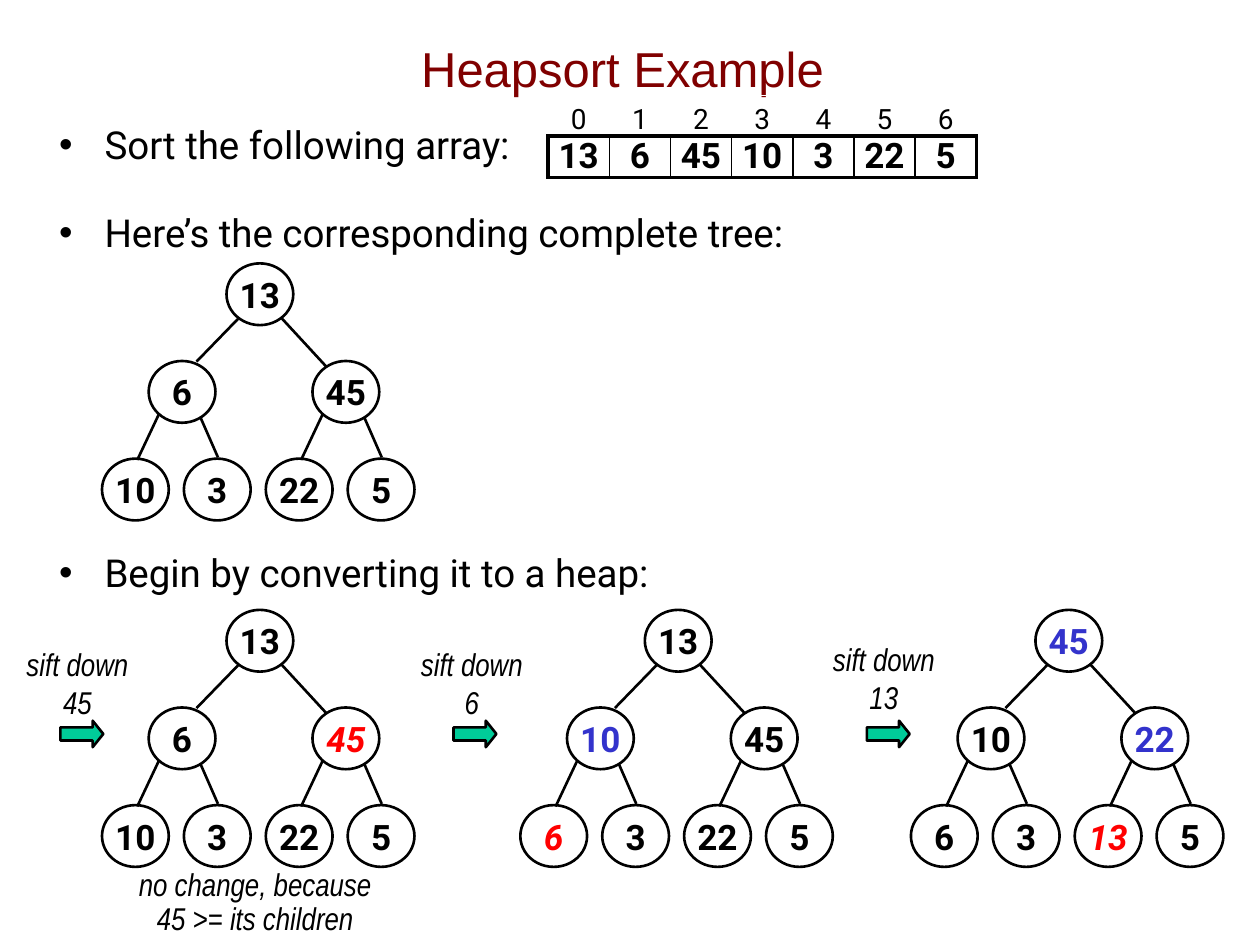
from lxml.etree import SubElement
from pptx import Presentation
from pptx.dml.color import RGBColor
from pptx.enum.shapes import MSO_CONNECTOR, MSO_SHAPE
from pptx.enum.text import MSO_ANCHOR, MSO_AUTO_SIZE, PP_ALIGN
from pptx.oxml.ns import qn
from pptx.util import Inches, Pt

BLACK = RGBColor(0x00, 0x00, 0x00)
MAROON = RGBColor(0x80, 0x00, 0x00)
RED = RGBColor(0xFF, 0x00, 0x00)
BLUE = RGBColor(0x33, 0x33, 0xCC)
GREEN = RGBColor(0x00, 0xCC, 0x99)

TITLE = {"name": "Arial", "size": Pt(28)}
BULLET = {"name": "Roboto", "size": Pt(22)}
INDEX = {"name": "Roboto", "size": Pt(16)}
KEY = {"name": "Roboto", "size": Pt(20), "bold": True}
SIFTED = KEY | {"italic": True}
NOTE = {"name": "Arial Narrow", "size": Pt(18), "italic": True}
NO_MARGINS = {"margin_left": 0, "margin_top": 0, "margin_right": 0, "margin_bottom": 0}

# Tree grid: one column per leaf, one row per level
COLUMN, ROW = 0.65, 0.775
NODE_WIDTH, NODE_HEIGHT = 0.53, 0.49
NODES = [(1.52, 0), (0.57, 1), (2.57, 1), (0, 2), (1, 2), (2, 2), (3, 2)]
ROOT_EDGES = [(1.08, 0.44, 0.75, 0.78), (1.42, 0.43, 1.78, 0.82)]
CHILD_EDGES = [(0.45, 1.2, 0.28, 1.56), (0.78, 1.22, 0.92, 1.54)]
EDGES = ROOT_EDGES + [(x1 + shift, y1, x2 + shift, y2)
                      for shift in (0, 2 * COLUMN) for x1, y1, x2, y2 in CHILD_EDGES]


def format_text(paragraph, values, color=BLACK, alignment=PP_ALIGN.CENTER):
    paragraph.alignment = alignment
    for name, value in values.items():
        setattr(paragraph.font, name, value)
    paragraph.font.color.rgb = color


def outline(shape):
    shape.line.color.rgb = BLACK
    shape.line.width = Pt(1.5)


presentation = Presentation()
presentation.slide_width, presentation.slide_height = Inches(10), Inches(7.5)
slide = presentation.slides.add_slide(presentation.slide_layouts[1])
shapes = slide.shapes

# Title and bullets
title, body = slide.placeholders
for placeholder, box in ((title, (0.64, 0.07, 8.6, 0.93)), (body, (0.37, 0.91, 9.63, 6.14))):
    placeholder.left, placeholder.top, placeholder.width, placeholder.height = map(Inches, box)
    placeholder.text_frame.auto_size = MSO_AUTO_SIZE.NONE
title.text_frame.text = "Heapsort Example"
title.text_frame.vertical_anchor = MSO_ANCHOR.MIDDLE
format_text(title.text_frame.paragraphs[0], TITLE, MAROON)

bullets = [
    ("Sort the following array:", 0),
    ("Here’s the corresponding complete tree:", 24),
    ("Begin by converting it to a heap:", 168),
]
body.text_frame.text = "\n".join(text for text, _ in bullets)
for paragraph, (_, space) in zip(body.text_frame.paragraphs, bullets):
    properties = paragraph._p.get_or_add_pPr()
    properties.set("marL", str(Inches(0.36)))
    properties.set("indent", str(-Inches(0.36)))
    SubElement(properties, qn("a:buChar")).set("char", "•")
    paragraph.space_before = Pt(space)
    format_text(paragraph, BULLET, alignment=PP_ALIGN.LEFT)

# Array with its indexes
array = [13, 6, 45, 10, 3, 22, 5]
table = shapes.add_table(2, len(array), Inches(4.35), Inches(0.76),
                         Inches(3.4), Inches(0.65)).table
table.first_row = table.horz_banding = False
table.rows[0].height, table.rows[1].height = Inches(0.32), Inches(0.33)
last = len(array) - 1
for column, value in enumerate(array):
    table.columns[column].width = Inches(3.4 / len(array))
    index_cell, value_cell = table.cell(0, column), table.cell(1, column)
    index_cell.vertical_anchor = MSO_ANCHOR.BOTTOM
    index_cell.margin_bottom = 0
    for name, margin in NO_MARGINS.items():
        setattr(value_cell, name, margin)
    value_borders = {"lnL": 1 if column else 2.25, "lnR": 1 if column < last else 2.25,
                     "lnT": 2.25, "lnB": 2.25}
    for cell, text, values, borders in ((index_cell, column, INDEX, {"lnB": 2.25}),
                                        (value_cell, value, KEY, value_borders)):
        cell.text = str(text)
        format_text(cell.text_frame.paragraphs[0], values)
        for side, width in borders.items():
            border = SubElement(cell._tc.get_or_add_tcPr(), qn(f"a:{side}"), w=str(Pt(width)))
            fill = SubElement(border, qn("a:solidFill"))
            SubElement(fill, qn("a:srgbClr"), val=str(BLACK))
        cell.fill.background()

# Trees: left, top, keys by level, and the formats of the highlighted nodes
trees = [
    (0.81, 2.09, array, {}),
    (0.81, 4.84, array, {2: (SIFTED, RED)}),
    (4.13, 4.84, [13, 10, 45, 6, 3, 22, 5], {1: (KEY, BLUE), 3: (SIFTED, RED)}),
    (7.23, 4.84, [45, 10, 22, 6, 3, 13, 5],
     {0: (KEY, BLUE), 2: (KEY, BLUE), 5: (SIFTED, RED)}),
]
for left, top, keys, highlights in trees:
    for position, (key, (column, row)) in enumerate(zip(keys, NODES)):
        node = shapes.add_shape(MSO_SHAPE.OVAL, Inches(left + column * COLUMN),
                                Inches(top + row * ROW), Inches(NODE_WIDTH), Inches(NODE_HEIGHT))
        node.shadow.inherit = False
        node.fill.background()
        outline(node)
        frame = node.text_frame
        for name, margin in NO_MARGINS.items():
            setattr(frame, name, margin)
        frame.word_wrap = False
        frame.vertical_anchor = MSO_ANCHOR.MIDDLE
        frame.text = str(key)
        format_text(frame.paragraphs[0], *highlights.get(position, (KEY, BLACK)))
    for x1, y1, x2, y2 in EDGES:
        edge = shapes.add_connector(MSO_CONNECTOR.STRAIGHT, Inches(left + x1), Inches(top + y1),
                                    Inches(left + x2), Inches(top + y2))
        outline(edge)
        SubElement(edge._element.spPr, qn("a:effectLst"))

# Step arrows
for left in (0.48, 3.6, 6.88):
    arrow = shapes.add_shape(MSO_SHAPE.RIGHT_ARROW, Inches(left), Inches(5.72),
                             Inches(0.34), Inches(0.21))
    arrow.adjustments[0], arrow.adjustments[1] = 0.5, 0.4
    arrow.shadow.inherit = False
    arrow.fill.solid()
    arrow.fill.fore_color.rgb = GREEN
    outline(arrow)

# Step notes
notes = [
    ("no change, because\v45 >= its children", (0.97, 6.85, 2.11, 0.64), 0.9),
    ("sift down\v45", (0.11, 5.07, 1.01, 0.7), 1.0),
    ("sift down\v6", (3.24, 5.07, 1.01, 0.7), 1.0),
    ("sift down\n13", (6.51, 5.03, 1.01, 0.7), 1.0),
]
for text, box, spacing in notes:
    frame = shapes.add_textbox(*map(Inches, box)).text_frame
    frame.word_wrap = False
    frame.auto_size = MSO_AUTO_SIZE.SHAPE_TO_FIT_TEXT
    frame.text = text
    for paragraph in frame.paragraphs:
        paragraph.line_spacing = spacing
        format_text(paragraph, NOTE)

presentation.save("out.pptx")
